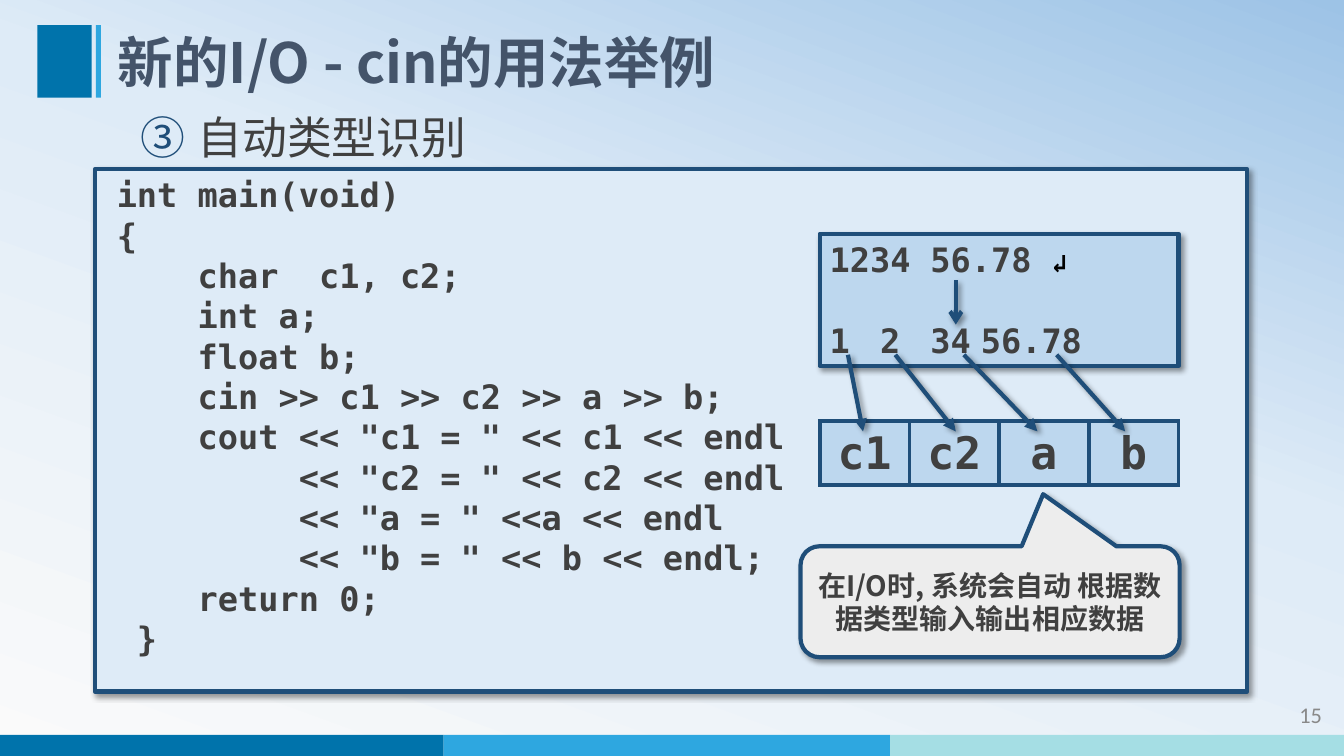
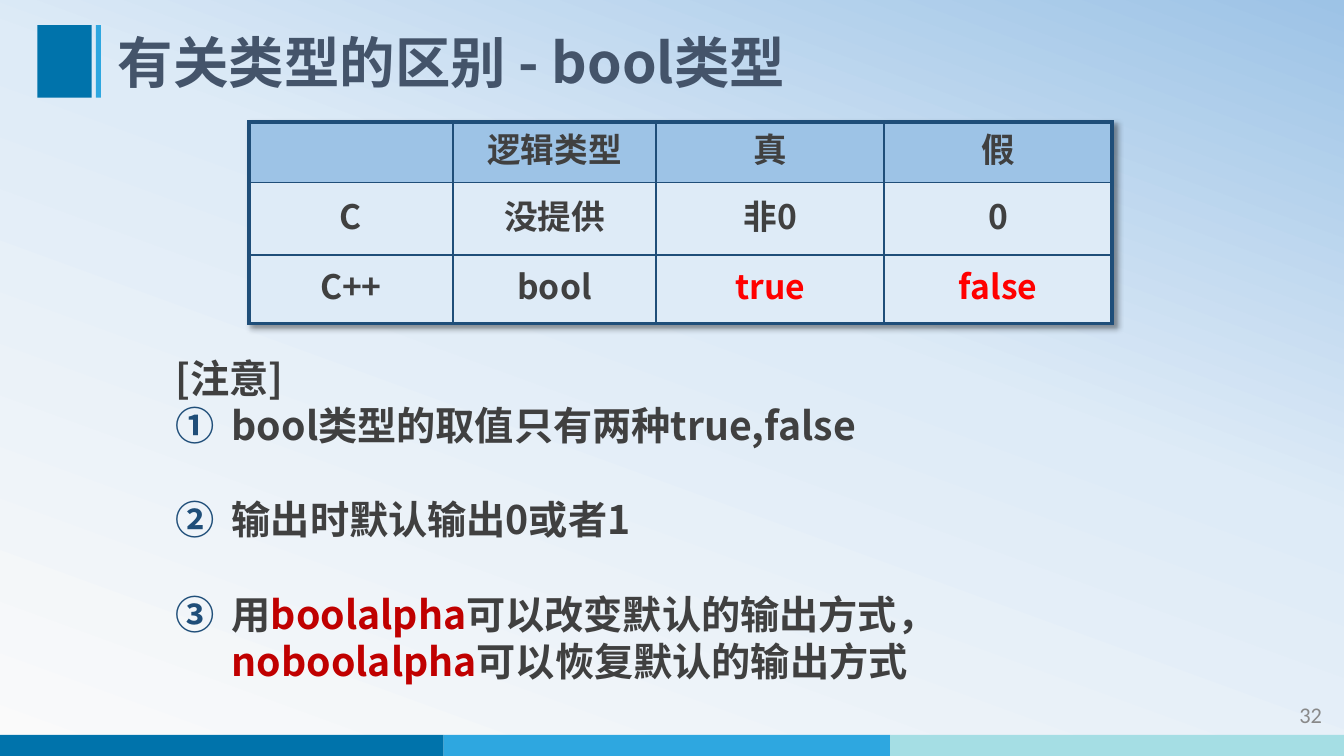
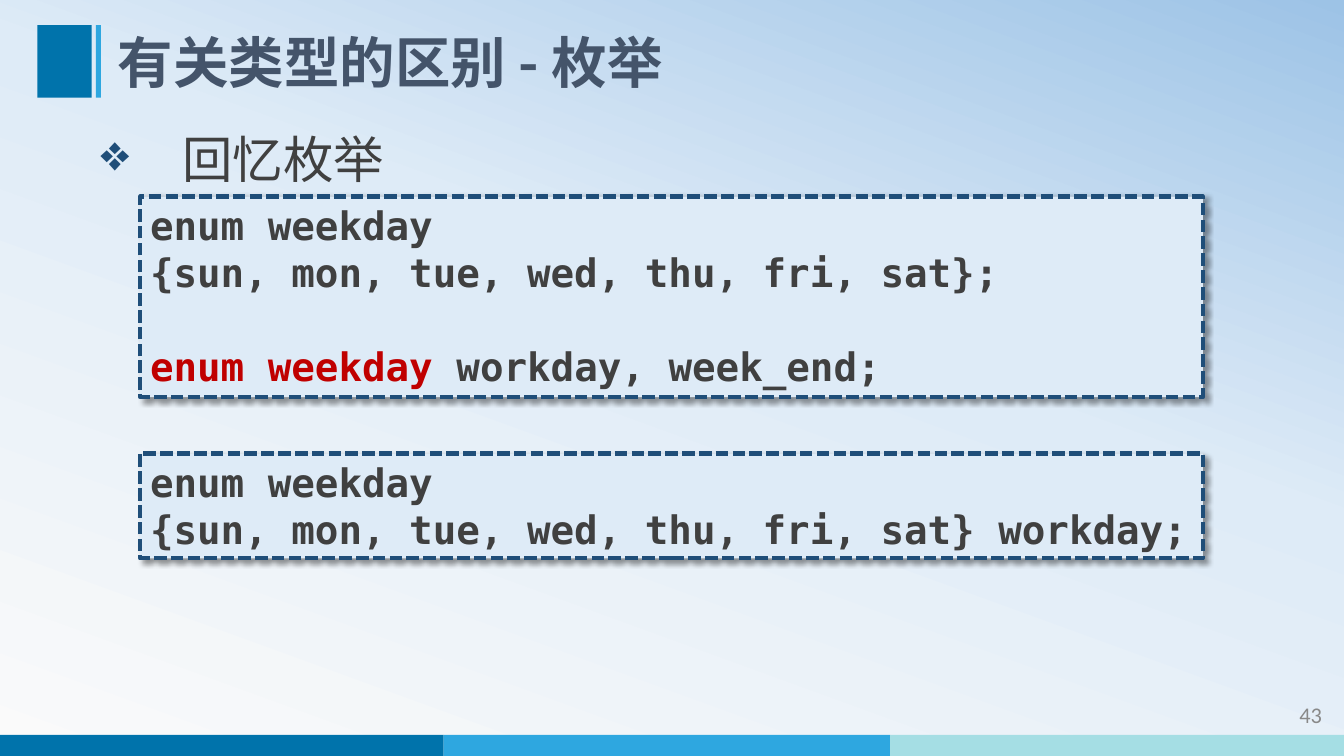
from copy import deepcopy

from lxml import etree
from pptx import Presentation
from pptx.dml.color import RGBColor
from pptx.enum.dml import MSO_LINE
from pptx.enum.shapes import MSO_CONNECTOR, MSO_SHAPE as SHAPE
from pptx.enum.text import MSO_ANCHOR as ANCHOR, MSO_AUTO_SIZE, PP_ALIGN as ALIGN
from pptx.oxml.ns import qn
from pptx.util import Pt

PX = 9144  # 100 px to the inch
WIDTH, HEIGHT = 1333, 750
CJK, MONO, LATIN = "Noto Sans CJK SC", "DejaVu Sans Mono", "Calibri"
LEADING = 1.2
COLORS = {
    "deep": "0073AB", "sky": "2EA7E0", "aqua": "A5DEE4",
    "title": "44546A", "text": "404040", "number": "898989",
    "navy": "1F4E79", "pale": "DEEBF7", "light": "BDD7EE", "header": "9DC3E6",
    "white": "FAFAFA", "grey": "EDEDED", "black": "000000",
    "crimson": "C00000", "red": "FF0000",
}


def px(*lengths):
    return [round(n * PX) for n in lengths]


def rgb(name):
    return RGBColor.from_string(COLORS[name])


def sub(parent, tag, **attrs):
    return etree.SubElement(parent, qn(tag), {k: str(v) for k, v in attrs.items()})


def sub_color(parent, tag, name):
    return sub(sub(parent, tag), "a:srgbClr", val=COLORS[name])


def fill_shadow(effects):
    shadow = sub(effects, "a:outerShdw", blurRad=Pt(4), dist=Pt(3), dir=45 * 60000,
                 algn="tl", rotWithShape=0)
    sub(sub(shadow, "a:srgbClr", val=COLORS["black"]), "a:alpha", val=40000)


def add_par(tf, runs, size, font=CJK, color="text", bold=True, align=ALIGN.LEFT,
            indent=(0, 0), before=0, bullet=None, start=1, tabs=()):
    """Runs are strings or (text, overrides) pairs; "\\n" breaks the line."""
    p = tf.paragraphs[0]
    if p.runs:
        p = tf.add_paragraph()
    pPr = p._p.get_or_add_pPr()
    left, first = px(*indent)
    pPr.set("marL", str(left))
    pPr.set("indent", str(first))
    if bullet:
        sub_color(pPr, "a:buClr", "navy")
        if bullet == "circle":
            sub(pPr, "a:buAutoNum", type="circleNumDbPlain", startAt=start)
        else:
            sub(pPr, "a:buChar", char=bullet)
    if tabs:
        stops = sub(pPr, "a:tabLst")
        for pos in px(*tabs):
            sub(stops, "a:tab", pos=pos, algn="l")
    p.alignment = align
    p.line_spacing = Pt(size * LEADING)
    if before:
        p.space_before = Pt(before)
    for run in [runs] if isinstance(runs, str) else runs:
        text, own = (run, {}) if isinstance(run, str) else run
        if text == "\n":
            p.add_line_break()
            continue
        r = p.add_run()
        r.text = text
        r.font.size = Pt(own.get("size", size))
        r.font.bold = bold
        r.font.name = font
        r.font.color.rgb = rgb(own.get("color", color))
        sub(r._r.get_or_add_rPr(), "a:ea", typeface=font)
    return p


def add_text_box(slide, box):
    tf = slide.shapes.add_textbox(*px(*box)).text_frame
    tf.word_wrap = True
    return tf


def add_box(slide, box, fill, kind=SHAPE.RECTANGLE, outlined=False, dash=None,
            anchor=ANCHOR.TOP):
    """Plain block, or an outlined panel with a shadow."""
    sp = slide.shapes.add_shape(kind, *px(*box))
    sp.fill.solid()
    sp.fill.fore_color.rgb = rgb(fill)
    sp.shadow.inherit = False
    if outlined:
        sp.line.color.rgb = rgb("navy")
        sp.line.width = Pt(3)
        if dash:
            sp.line.dash_style = dash
        fill_shadow(sp._element.spPr.find(qn("a:effectLst")))
    else:
        sp.line.fill.background()
    sp.text_frame.word_wrap = True
    sp.text_frame.vertical_anchor = anchor
    return sp


def add_arrow(slide, start, end, head="triangle"):
    line = slide.shapes.add_connector(MSO_CONNECTOR.STRAIGHT, *px(*start, *end))
    line.line.color.rgb = rgb("navy")
    line.line.width = Pt(3)
    sub(line.line._get_or_add_ln(), "a:tailEnd", type=head)
    fill_shadow(sub(line._element.spPr, "a:effectLst"))


def add_grid(slide, left, top, cols, rows, cells, size, font=CJK, inner=1.5, outer=3,
             header=None, fill="pale", anchor=ANCHOR.MIDDLE, shadow=False):
    """Table of centred text; a cell is a string or a list of runs."""
    frame = slide.shapes.add_table(len(rows), len(cols),
                                   *px(left, top, sum(cols), sum(rows)))
    table = frame.table
    table.first_row = table.horz_banding = False
    if shadow:
        effects = etree.Element(qn("a:effectLst"))
        fill_shadow(effects)
        table._tbl.tblPr.insert(0, effects)
    for col, width in zip(table.columns, px(*cols)):
        col.width = width
    for row, height in zip(table.rows, px(*rows)):
        row.height = height
    for i, row in enumerate(cells):
        for j, runs in enumerate(row):
            cell = table.cell(i, j)
            edges = {"L": j == 0, "R": j == len(cols) - 1,
                     "T": i == 0, "B": i == len(rows) - 1}
            tcPr = cell._tc.get_or_add_tcPr()
            for side, at_edge in edges.items():
                ln = sub(tcPr, f"a:ln{side}", w=Pt(outer if at_edge else inner))
                sub_color(ln, "a:solidFill", "navy")
            cell.fill.solid()
            cell.fill.fore_color.rgb = rgb(header if header and i == 0 else fill)
            cell.vertical_anchor = anchor
            if runs:
                add_par(cell.text_frame, runs, size, font, align=ALIGN.CENTER)


def set_background(master):
    fill = master.background.fill
    fill.gradient()
    fill.gradient_angle = 70
    stops = master.element.find(".//" + qn("a:gsLst"))
    stops.append(deepcopy(stops[0]))
    wanted = [(0, "white"), (0.58, "pale"), (1, "header")]
    for stop, (position, name) in zip(fill.gradient_stops, wanted):
        stop.position = position
        stop.color.rgb = rgb(name)


def new_slide(prs, title, number):
    """Slide with the shared bands, title and number."""
    slide = prs.slides.add_slide(prs.slide_layouts[5])
    edges = [0, 440, 883, WIDTH]
    for left, right, name in zip(edges, edges[1:], ("deep", "sky", "aqua")):
        add_box(slide, (left, 729, right - left, 21), name)
    add_box(slide, (37, 25, 54, 72), "deep")
    add_box(slide, (95, 25, 5, 72), "sky")
    add_par(add_text_box(slide, (1162, 691, 159, 40)), str(number), 16, LATIN,
            "number", bold=False, align=ALIGN.RIGHT)
    sp = slide.shapes.title
    sp.left, sp.top, sp.width, sp.height = px(107, 25, 1086, 72)
    tf = sp.text_frame
    tf.auto_size = MSO_AUTO_SIZE.NONE
    tf.vertical_anchor = ANCHOR.MIDDLE
    add_par(tf, title, 39.6, color="title")
    return slide


def add_input_diagram(slide, left, top, width):
    """Console input, and the variables that receive it."""
    console = add_box(slide, (left, top, width, 131), "light", outlined=True)
    tf = console.text_frame
    enter = ("↲", {"size": 18, "color": "black"})
    add_par(tf, ["1234\t56.78 ", enter], 24, MONO, tabs=(100,))
    add_par(tf, "1\t2\t34\t56.78", 24, MONO, before=24 * LEADING, tabs=(60, 120, 201))
    add_arrow(slide, (left + 135, top + 46), (left + 135, top + 90), "arrow")
    add_grid(slide, left, top + 186, [width // 4] * 4, [63], [["c1", "c2", "a", "b"]],
             32, MONO, inner=3, fill="light", anchor=ANCHOR.TOP)
    for start, end in [(28, 43), (75, 135), (143, 216), (235, 303)]:
        add_arrow(slide, (left + start, top + 120), (left + end, top + 196))


def cin_slide(prs):
    slide = new_slide(prs, "新的I/O - cin的用法举例", 15)
    code = [
        "int main(void)",
        "{",
        "    char  c1, c2;",
        "    int a;",
        "    float b;",
        "    cin >> c1 >> c2 >> a >> b;",
        '    cout << "c1 = " << c1 << endl',
        '         << "c2 = " << c2 << endl',
        '         << "a = " <<a << endl',
        '         << "b = " << b << endl;',
        "    return 0;",
        " }",
    ]
    panel = add_box(slide, (94, 168, 1143, 518), "pale", outlined=True)
    for line in code:
        add_par(panel.text_frame, line, 24, MONO, indent=(40, -28))
    callout = add_box(slide, (794, 542, 376, 110), "grey",
                      SHAPE.ROUNDED_RECTANGULAR_CALLOUT, outlined=True,
                      anchor=ANCHOR.MIDDLE)
    for i, value in enumerate((0.14, -0.97, 0.17)):
        callout.adjustments[i] = value
    add_par(callout.text_frame, "在I/O时, 系统会自动 根据数据类型输入输出相应数据", 20,
            align=ALIGN.CENTER)
    add_par(add_text_box(slide, (94, 104, 1124, 75)), "自动类型识别", 32, bold=False,
            indent=(92, -56), bullet="circle", start=3)
    add_input_diagram(slide, 813, 232, 356)


def bool_slide(prs):
    slide = new_slide(prs, "有关类型的区别 - bool类型", 32)
    notes = [
        "bool类型的取值只有两种true,false",
        "输出时默认输出0或者1",
        ["用", ("boolalpha", {"color": "crimson"}), "可以改变默认的输出方式，", "\n",
         ("noboolalpha", {"color": "crimson"}), "可以恢复默认的输出方式"],
    ]
    tf = add_text_box(slide, (164, 347, 1029, 347))
    add_par(tf, "[注意]", 28)
    for i, note in enumerate(notes):
        add_par(tf, note, 28, indent=(56, -56), bullet="circle",
                before=28 * LEADING if i else 0)
    red = {"color": "red"}
    cells = [
        ["", "逻辑类型", "真", "假"],
        ["C", "没提供", "非0", "0"],
        ["C++", "bool", [("true", red)], [("false", red)]],
    ]
    add_grid(slide, 247, 121, [202, 202, 226, 226], [60, 72, 68], cells, 24,
             header="header", shadow=True)


def add_enum_code(slide, top, height, lines, last=None):
    """Dashed code panel; the last line stands one line apart."""
    tf = add_box(slide, (139, top, 1054, height), "pale", outlined=True,
                 dash=MSO_LINE.SQUARE_DOT).text_frame
    for line in lines:
        add_par(tf, line, 28, MONO)
    if last:
        add_par(tf, last, 28, MONO, before=28 * LEADING)


def enum_slide(prs):
    slide = new_slide(prs, "有关类型的区别 - 枚举", 43)
    add_par(add_text_box(slide, (90, 122, 1199, 71)), "回忆枚举", 36, bold=False,
            indent=(81, -81), bullet="❖")
    head, days = "enum weekday", "{sun, mon, tue, wed, thu, fri, sat}"
    add_enum_code(slide, 195, 199, [head, days + ";"],
                  [(head + " ", {"color": "crimson"}), "workday, week_end;"])
    add_enum_code(slide, 450, 104, [head, days + " workday;"])


def main():
    prs = Presentation()
    prs.slide_width, prs.slide_height = px(WIDTH, HEIGHT)
    set_background(prs.slide_master)
    cin_slide(prs)
    bool_slide(prs)
    enum_slide(prs)
    prs.save("out.pptx")


if __name__ == "__main__":
    main()
